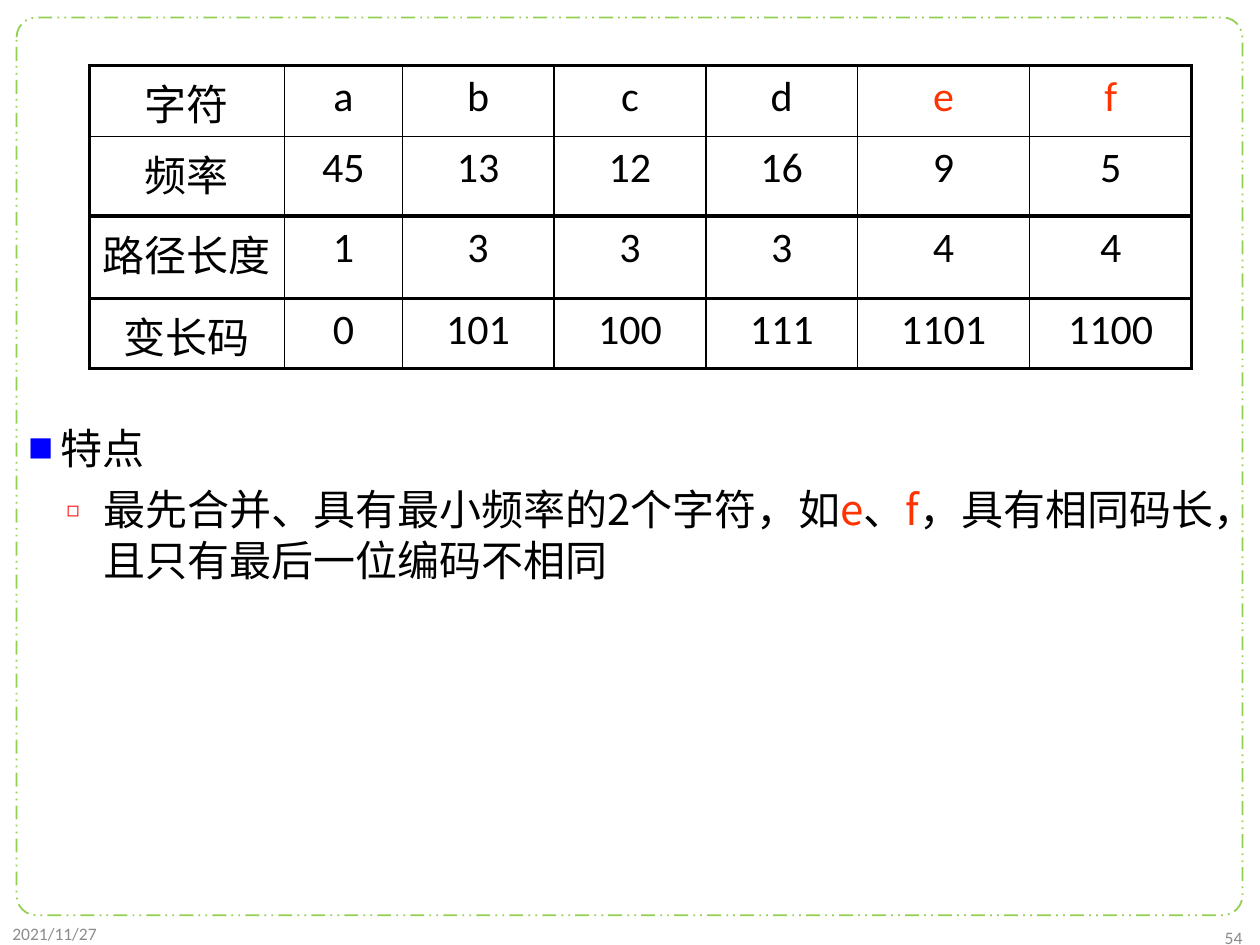
from lxml import etree
from pptx import Presentation
from pptx.dml.color import RGBColor
from pptx.enum.dml import MSO_LINE
from pptx.enum.shapes import MSO_SHAPE
from pptx.enum.text import MSO_ANCHOR, PP_ALIGN
from pptx.oxml.ns import qn
from pptx.util import Pt

BLACK = RGBColor(0x00, 0x00, 0x00)
BLUE = RGBColor(0x00, 0x00, 0xFF)
RED = RGBColor(0xFF, 0x00, 0x00)
ORANGE = RGBColor(0xFF, 0x33, 0x00)
GREEN = RGBColor(0x92, 0xD0, 0x50)
GREY = RGBColor(0x8C, 0x8C, 0x8C)
LATIN_FONT = "Calibri"
CJK_FONT = "Noto Sans CJK SC"
DASH = MSO_LINE.DASH_DOT_DOT
ROUNDED = MSO_SHAPE.ROUNDED_RECTANGLE
MIDDLE = MSO_ANCHOR.MIDDLE
LEFT, CENTER, RIGHT = PP_ALIGN.LEFT, PP_ALIGN.CENTER, PP_ALIGN.RIGHT
THIN, THICK = 1, 2.25


def add_run(paragraph, text, size, color, latin=LATIN_FONT):
    run = paragraph.add_run()
    run.text = text
    run.font.size = Pt(size)
    run.font.color.rgb = color
    run.font.name = latin
    etree.SubElement(run.font._element, qn("a:ea"), typeface=CJK_FONT)


def add_border(cell, side, width):
    line = etree.SubElement(cell._tc.get_or_add_tcPr(), qn(f"a:ln{side}"), w=str(Pt(width)))
    fill = etree.SubElement(line, qn("a:solidFill"))
    etree.SubElement(fill, qn("a:srgbClr"), val=str(BLACK))


prs = Presentation()
prs.slide_width, prs.slide_height = Pt(720), Pt(540)
slide = prs.slides.add_slide(prs.slide_layouts[6])

# Page frame
frame = slide.shapes.add_shape(ROUNDED, Pt(9.5), Pt(10), Pt(700.5), Pt(513))
frame.adjustments[0] = 0.022
frame.shadow.inherit = False
frame.fill.background()
frame.line.color.rgb = GREEN
frame.line.width = Pt(1)
frame.line.dash_style = DASH

# Features of the code
features = slide.shapes.add_textbox(Pt(9.5), Pt(238), Pt(700.5), Pt(284)).text_frame
features.word_wrap = True
FEATURES = [
    # level, left margin, hanging indent, space before, bullet, its colour and size, runs
    (0, 18, 18, 0, "■", BLUE, 60, [("特点", BLACK)]),
    (1, 42.5, 21, 6, "◻", RED, 50, [
        ("最先合并、具有最小频率的2个字符，如", BLACK),
        ("e", ORANGE),
        ("、", BLACK),
        ("f", ORANGE),
        ("，具有相同码长，且只有最后一位编码不相同", BLACK),
    ]),
]
for i, (level, margin, hang, before, bullet, color, percent, runs) in enumerate(FEATURES):
    paragraph = features.add_paragraph() if i else features.paragraphs[0]
    props = paragraph._p.get_or_add_pPr()
    props.set("marL", str(Pt(margin)))
    props.set("indent", str(-Pt(hang)))
    bullet_color = etree.SubElement(props, qn("a:buClr"))
    etree.SubElement(bullet_color, qn("a:srgbClr"), val=str(color))
    etree.SubElement(props, qn("a:buSzPct"), val=str(percent * 1000))
    etree.SubElement(props, qn("a:buFont"), typeface=CJK_FONT)
    etree.SubElement(props, qn("a:buChar"), char=bullet)
    paragraph.level = level
    paragraph.line_spacing = 1.0
    paragraph.space_before = Pt(before)
    for text, text_color in runs:
        add_run(paragraph, text, 24, text_color, CJK_FONT)

# Date and page number
FOOTERS = [("2021/11/27", 0, 523, 21, LEFT), ("54", 555, 526, 19, RIGHT)]
for text, left, top, height, align in FOOTERS:
    footer = slide.shapes.add_textbox(Pt(left), Pt(top), Pt(162), Pt(height)).text_frame
    footer.word_wrap = True
    footer.vertical_anchor = MIDDLE
    footer.paragraphs[0].alignment = align
    add_run(footer.paragraphs[0], text, 10, GREY)

# Code table
CODES = [
    ["字符", "a", "b", "c", "d", "e", "f"],
    ["频率", "45", "13", "12", "16", "9", "5"],
    ["路径长度", "1", "3", "3", "3", "4", "4"],
    ["变长码", "0", "101", "100", "111", "1101", "1100"],
]
COLUMN_WIDTHS = [111.5, 67.5, 86.5, 87, 86.5, 98.5, 92.5]
ROW_HEIGHTS = [40.5, 45.5, 47, 40]
COLUMN_RULES = [THICK] + [THIN] * 6 + [THICK]
ROW_RULES = [THICK, THIN, THICK, THICK, THICK]
codes = slide.shapes.add_table(len(CODES), len(COLUMN_WIDTHS), Pt(51), Pt(37.5),
                               Pt(sum(COLUMN_WIDTHS)), Pt(sum(ROW_HEIGHTS))).table
codes.first_row = codes.horz_banding = False
for column, width in zip(codes.columns, COLUMN_WIDTHS):
    column.width = Pt(width)
for r, values in enumerate(CODES):
    codes.rows[r].height = Pt(ROW_HEIGHTS[r])
    for c, value in enumerate(values):
        cell = codes.cell(r, c)
        add_border(cell, "L", COLUMN_RULES[c])
        add_border(cell, "R", COLUMN_RULES[c + 1])
        add_border(cell, "T", ROW_RULES[r])
        add_border(cell, "B", ROW_RULES[r + 1])
        cell.fill.background()
        paragraph = cell.text_frame.paragraphs[0]
        paragraph.alignment = CENTER
        add_run(paragraph, value, 24, ORANGE if value in ("e", "f") else BLACK)

prs.save("out.pptx")
